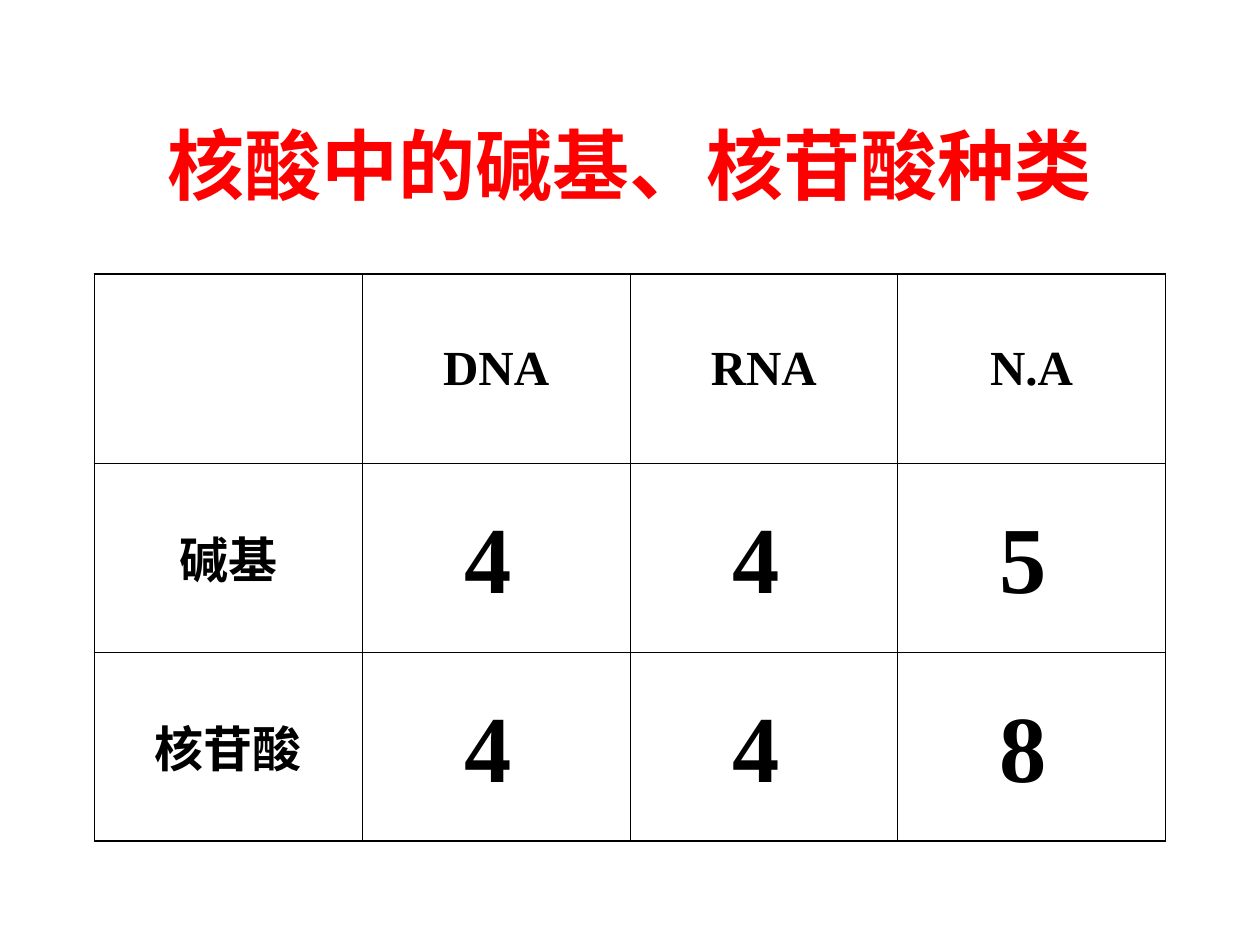
from lxml import etree
from pptx import Presentation, util as u
from pptx.dml.color import RGBColor
from pptx.enum import text as t
from pptx.oxml.ns import qn

WIDE, HIGH = u.Inches(10), u.Inches(7.5)
SANS, SERIF = "Noto Sans CJK JP", "Times New Roman"
BLACK, RED = "000000", "FF0000"
THIN, THICK = 0.45, 1.08

# Table area as shares of the slide
LEFT, TOP = 0.075 * WIDE, 0.29 * HIGH
COL, ROW = 0.85 * WIDE / 4, 0.2 * HIGH

LABELS = [["", "DNA", "RNA", "N.A"], ["碱基", "", "", ""], ["核苷酸", "", "", ""]]
COUNTS = ["445", "448"]


def paint(color, hue):
    color.rgb = RGBColor.from_string(hue)


def write(frame, words, size, face=SERIF, hue=BLACK, align=t.PP_ALIGN.CENTER):
    para = frame.paragraphs[0]
    para.alignment = align
    run = para.add_run()
    run.text = words
    font = run.font
    font.size, font.bold, font.name = u.Pt(size), True, face
    paint(font.color, hue)
    east = etree.SubElement(font._element, qn("a:ea"))
    east.set("typeface", SANS)


def add_box(slide, left, top, width, height, wrap=True):
    box = slide.shapes.add_textbox(*map(int, (left, top, width, height)))
    box.text_frame.word_wrap = wrap
    return box.text_frame


def add_edge(cell, side, weight):
    line = etree.SubElement(cell._tc.get_or_add_tcPr(), qn("a:ln" + side))
    line.set("w", str(int(u.Pt(weight))))
    fill = etree.SubElement(line, qn("a:solidFill"))
    etree.SubElement(fill, qn("a:srgbClr")).set("val", BLACK)


def add_grid(slide, labels):
    rows, cols = len(labels), len(labels[0])
    area = map(int, (LEFT, TOP, COL * cols, ROW * rows))
    table = slide.shapes.add_table(rows, cols, *area).table
    table.first_row = table.horz_banding = False
    for r, line in enumerate(labels):
        for c, label in enumerate(line):
            cell = table.cell(r, c)
            # Thick on the outer frame, thin inside
            outer = {"L": c == 0, "R": c == cols - 1,
                     "T": r == 0, "B": r == rows - 1}
            for side, edge in outer.items():
                add_edge(cell, side, THICK if edge else THIN)
            cell.fill.background()
            cell.vertical_anchor = t.MSO_ANCHOR.MIDDLE
            if label:
                write(cell.text_frame, label, 28)


def add_counts(slide, counts):
    width, height = u.Inches(0.57), u.Inches(1)
    for r, line in enumerate(counts, 1):
        for c, count in enumerate(line, 1):
            left = LEFT + COL * (c + 0.335)
            top = TOP + ROW * (r + 0.157)
            frame = add_box(slide, left, top, width, height, wrap=False)
            write(frame, count, 54, align=t.PP_ALIGN.LEFT)


def main():
    deck = Presentation()
    deck.slide_width, deck.slide_height = WIDE, HIGH
    slide = deck.slides.add_slide(deck.slide_layouts[6])

    # Title
    frame = add_box(slide, LEFT, 0.09 * HIGH, 0.85 * WIDE, HIGH / 6)
    frame.vertical_anchor = t.MSO_ANCHOR.MIDDLE
    write(frame, "核酸中的碱基、核苷酸种类", 44, SANS, RED)

    # Table with the counts laid over it
    add_grid(slide, LABELS)
    add_counts(slide, COUNTS)
    deck.save("out.pptx")


if __name__ == "__main__":
    main()
